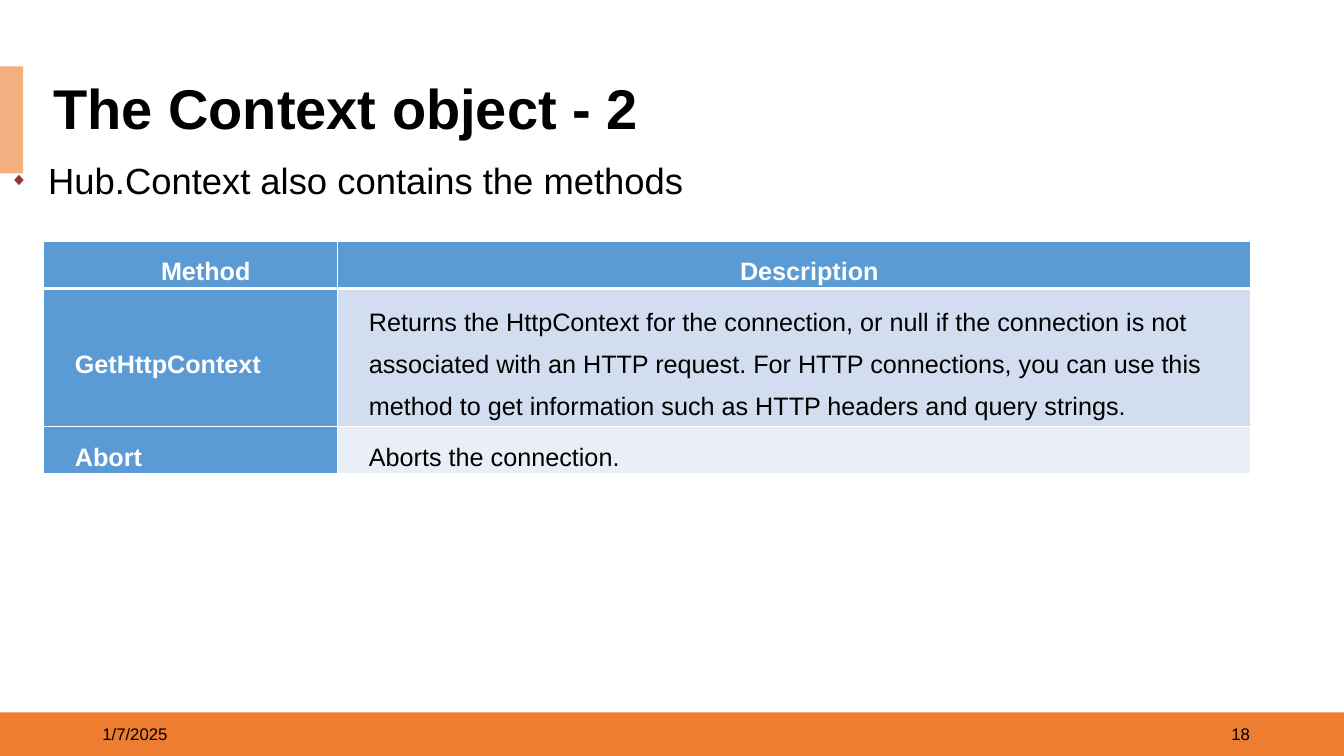
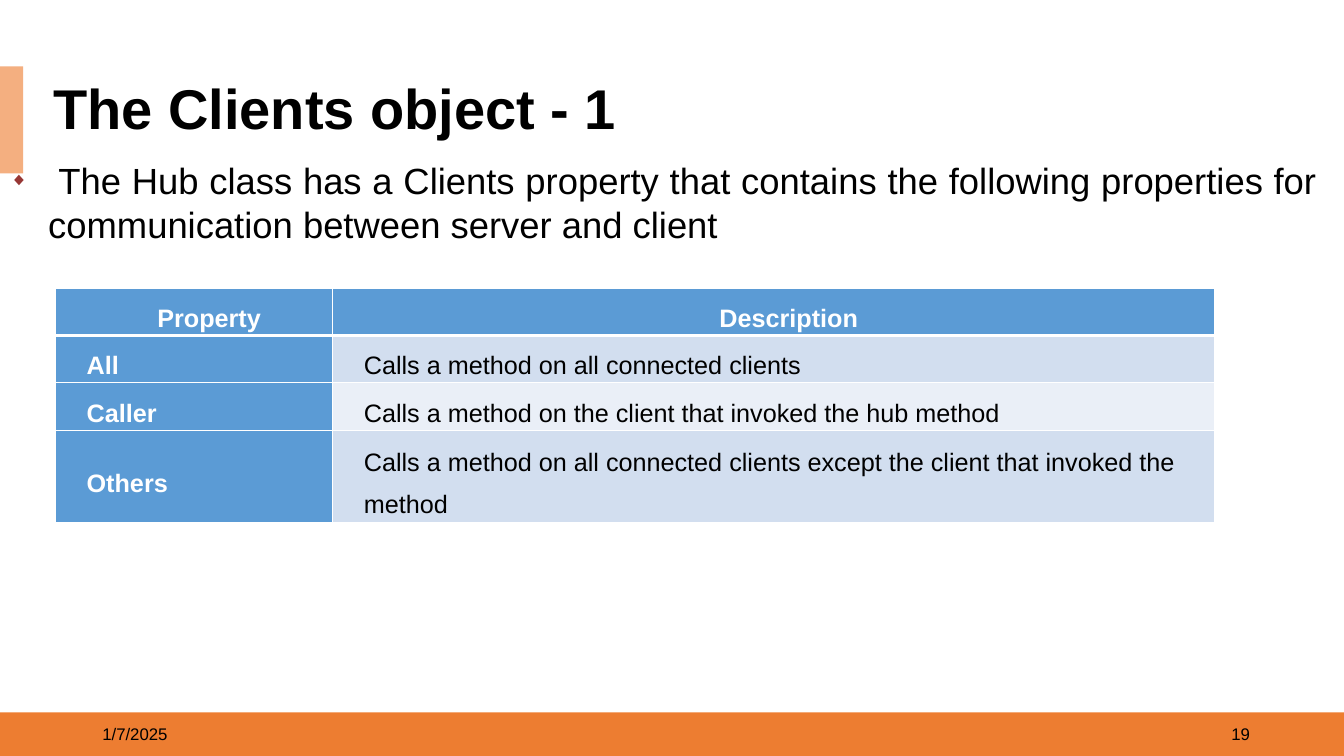
import lxml.etree
import pptx
import pptx.dml.color
import pptx.enum.shapes
import pptx.enum.text
import pptx.oxml.ns
import pptx.util

RGB = pptx.dml.color.RGBColor
ALIGN = pptx.enum.text.PP_ALIGN
MIDDLE = pptx.enum.text.MSO_ANCHOR.MIDDLE
Pt = pptx.util.Pt

BLACK, WHITE = RGB(0, 0, 0), RGB(255, 255, 255)
ORANGE, PEACH = RGB(0xED, 0x7D, 0x31), RGB(0xF4, 0xAF, 0x80)
BLUE = RGB(0x5B, 0x9B, 0xD5)
STRIPES = RGB(0xD2, 0xDE, 0xEF), RGB(0xEA, 0xEF, 0xF7)
BULLET_RED = RGB(0x97, 0x37, 0x35)
FONT = "Arial"

COLS, ROWS = 160, 90
CELL = pptx.util.Inches(7.5) / ROWS

FOOTER_BOX = (0, 84.8, COLS, 5.2)
ACCENT_BOX = (0, 7.9, 2.75, 12.75)
TITLE_BOX = (5.16, 9.48, 151, 7.56)
BODY_BOX = (0, 18.24, 158.16, 24)
LINE_ROWS = 5.5
DATE = "1/7/2025"
FIRST_NUMBER = 18

SLIDES = [
    {
        "title": "The Context object - 2",
        "body": "Hub.Context also contains the methods",
        "corner": (5.2, 28.7),
        "columns": (35, 108.7),
        "rows": [
            ("Method", "Description"),
            ("GetHttpContext",
             "Returns the HttpContext for the connection, or null if the "
             "connection is not associated with an HTTP request. For HTTP "
             "connections, you can use this method to get information such "
             "as HTTP headers and query strings."),
            ("Abort", "Aborts the connection."),
        ],
    },
    {
        "title": "The Clients object - 1",
        "body": " The Hub class has a Clients property that contains the "
                "following properties for communication between server and "
                "client",
        "corner": (6.6, 34.3),
        "columns": (33, 105),
        "rows": [
            ("Property", "Description"),
            ("All", "Calls a method on all connected clients"),
            ("Caller",
             "Calls a method on the client that invoked the hub method"),
            ("Others",
             "Calls a method on all connected clients except the client "
             "that invoked the method"),
        ],
    },
]


def grid(*cells):
    """Turn grid columns and rows into slide lengths."""
    return [pptx.util.Emu(round(c * CELL)) for c in cells]


def add_xml(parent, tag, **attributes):
    return lxml.etree.SubElement(parent, pptx.oxml.ns.qn(tag), attributes)


def set_text(tf, text, size, color=BLACK, bold=False, align=ALIGN.LEFT):
    tf.text = text
    tf.word_wrap = True
    p = tf.paragraphs[0]
    p.alignment = align
    for r in p.runs:
        r.font.name, r.font.size, r.font.bold = FONT, Pt(size), bold
        r.font.color.rgb = color
    return p


def add_band(s, box, color):
    sp = s.shapes.add_shape(pptx.enum.shapes.MSO_SHAPE.RECTANGLE, *grid(*box))
    sp.fill.solid()
    sp.fill.fore_color.rgb = color
    sp.line.fill.background()
    sp.shadow.inherit = False


def add_footer(s, box, number):
    add_band(s, box, ORANGE)
    left, top, width, height = box
    margin, label_width = 11, 36
    number_left = left + width - label_width - 10
    for x, text, align in ((left + margin, DATE, ALIGN.LEFT),
                           (number_left, str(number), ALIGN.RIGHT)):
        sp = s.shapes.add_textbox(*grid(x, top + 0.2, label_width, height - 0.4))
        sp.text_frame.vertical_anchor = MIDDLE
        set_text(sp.text_frame, text, 12, align=align)


def place_title(s, box, text):
    sp = s.shapes.title
    sp.left, sp.top, sp.width, sp.height = grid(*box)
    sp.fill.solid()
    sp.fill.fore_color.rgb = WHITE
    tf = sp.text_frame
    tf.auto_size = pptx.enum.text.MSO_AUTO_SIZE.NONE
    tf.vertical_anchor = MIDDLE
    set_text(tf, text, 40, bold=True).line_spacing = 0.9


def add_body(s, box, text):
    sp = s.shapes.add_textbox(*grid(*box))
    p = set_text(sp.text_frame, text, 26, align=ALIGN.JUSTIFY)
    p.space_before = p.space_after = Pt(3)
    pPr = p._p.get_or_add_pPr()
    indent = pptx.util.Inches(0.38)
    pPr.set("marL", str(indent))
    pPr.set("indent", str(-indent))
    add_xml(add_xml(pPr, "a:buClr"), "a:srgbClr", val=str(BULLET_RED))
    add_xml(pPr, "a:buSzPct", val="50000")
    add_xml(pPr, "a:buFont", typeface=FONT)
    add_xml(pPr, "a:buChar", char="◆")
    tabs = add_xml(pPr, "a:tabLst")
    add_xml(tabs, "a:tab", pos=str(pptx.util.Inches(0.26)), algn="l")


def set_borders(cell, top, bottom):
    """Draw white borders, with top and bottom widths in points."""
    tcPr = cell._tc.get_or_add_tcPr()
    widths = {"a:lnL": 1, "a:lnR": 1, "a:lnT": top, "a:lnB": bottom}
    for i, (tag, width) in enumerate(widths.items()):
        ln = add_xml(tcPr, tag, w=str(Pt(width)))
        add_xml(add_xml(ln, "a:solidFill"), "a:srgbClr", val=str(WHITE))
        tcPr.insert(i, ln)


def format_cell(cell, text, row, col):
    header, strong = row == 0, row == 0 or col == 0
    cell.fill.solid()
    cell.fill.fore_color.rgb = BLUE if strong else STRIPES[(row - 1) % 2]
    cell.vertical_anchor = MIDDLE
    cell.margin_left = cell.margin_right = pptx.util.Inches(0.01)
    cell.margin_top = cell.margin_bottom = pptx.util.Inches(0.01)
    p = set_text(cell.text_frame, text, 18, WHITE if strong else BLACK,
                 strong, ALIGN.CENTER if header else ALIGN.LEFT)
    p.line_spacing = 1.5
    pPr = p._p.get_or_add_pPr()
    pPr.set("marL", str(pptx.util.Inches(0.3)))
    pPr.set("indent", "0")
    set_borders(cell, top=3 if row == 1 else 1, bottom=3 if header else 1)


def add_definitions(s, corner, columns, rows):
    """Add a table of terms; rows with long text grow to fit."""
    box = grid(*corner, sum(columns), LINE_ROWS * len(rows))
    table = s.shapes.add_table(len(rows), len(columns), *box).table
    for column, width in zip(table.columns, grid(*columns)):
        column.width = width
    for i, texts in enumerate(rows):
        for j, text in enumerate(texts):
            format_cell(table.cell(i, j), text, i, j)


def add_definition_slide(prs, content, number):
    s = prs.slides.add_slide(prs.slide_layouts[5])
    add_footer(s, FOOTER_BOX, number)
    add_band(s, ACCENT_BOX, PEACH)
    place_title(s, TITLE_BOX, content["title"])
    add_body(s, BODY_BOX, content["body"])
    add_definitions(s, content["corner"], content["columns"], content["rows"])


def main():
    prs = pptx.Presentation()
    prs.slide_width, prs.slide_height = grid(COLS, ROWS)
    for number, content in enumerate(SLIDES, FIRST_NUMBER):
        add_definition_slide(prs, content, number)
    prs.save("out.pptx")


if __name__ == "__main__":
    main()
